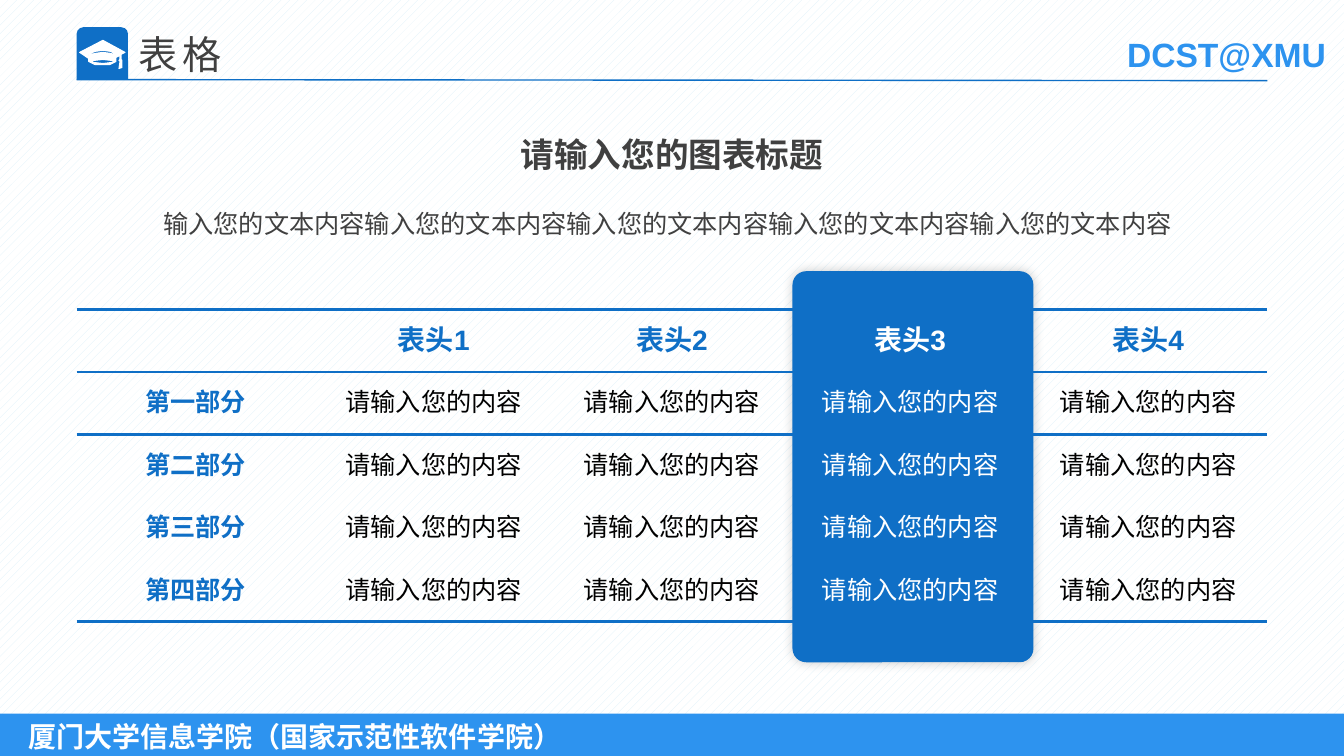
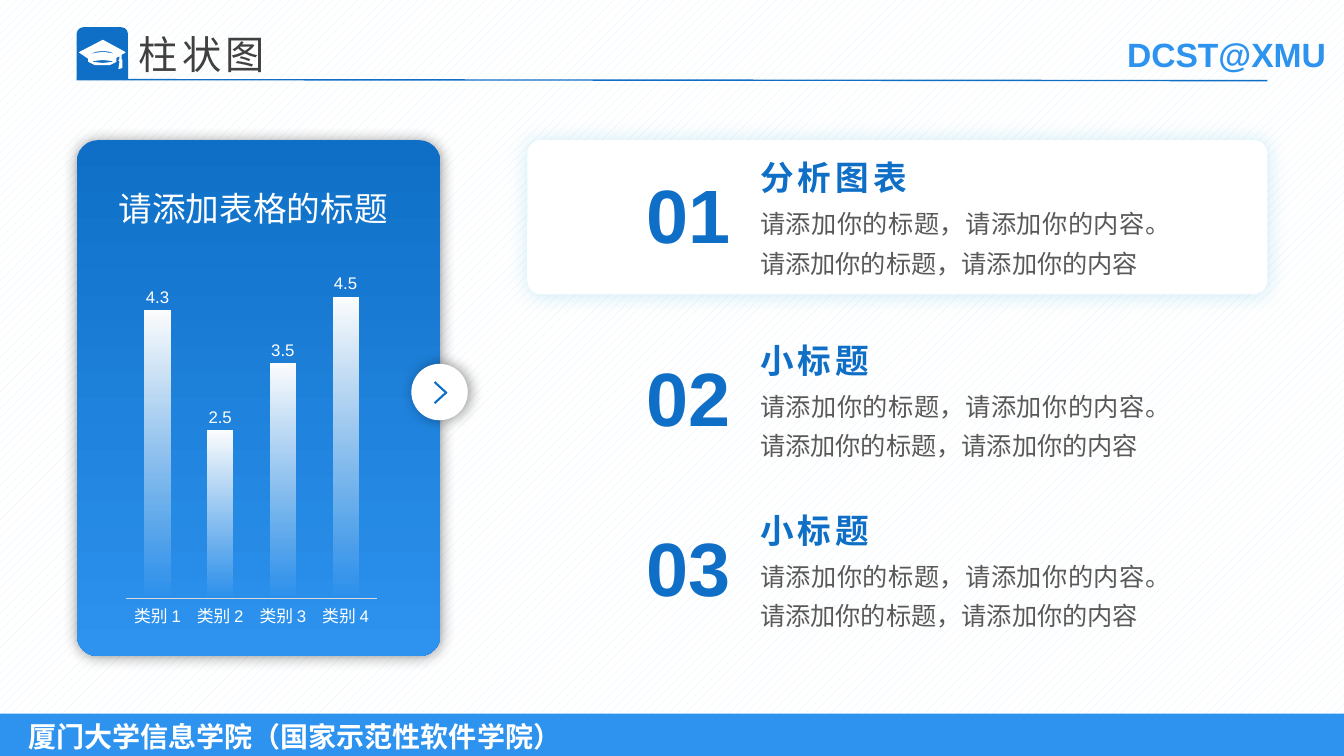
from dataclasses import dataclass
from typing import Optional

import lxml.etree
import pptx
import pptx.chart.data
import pptx.dml.color
import pptx.dml.fill
import pptx.enum.chart
import pptx.enum.dml
import pptx.enum.shapes
import pptx.enum.text
import pptx.oxml
import pptx.oxml.ns
import pptx.shapes.base
import pptx.slide
import pptx.table
import pptx.text.text
import pptx.util

Inches = pptx.util.Inches
Pt = pptx.util.Pt
RGBColor = pptx.dml.color.RGBColor
Shape = pptx.enum.shapes.MSO_SHAPE
Align = pptx.enum.text.PP_ALIGN
Anchor = pptx.enum.text.MSO_ANCHOR
qualified = pptx.oxml.ns.qn

# Shared look
FONT = "Arial"
BLUE = RGBColor(0x0F, 0x6F, 0xC6)
LIGHT_BLUE = RGBColor(0x2D, 0x93, 0xEF)
CYAN = RGBColor(0x00, 0x9D, 0xD9)
PALE_BLUE = RGBColor(0xDB, 0xEF, 0xF9)
WHITE = RGBColor(0xFF, 0xFF, 0xFF)
BLACK = RGBColor(0x00, 0x00, 0x00)
DARK_GRAY = RGBColor(0x40, 0x40, 0x40)
GRAY = RGBColor(0x59, 0x59, 0x59)
AXIS_GRAY = RGBColor(0xD9, 0xD9, 0xD9)
SLIDE_WIDTH, SLIDE_HEIGHT = 13.33, 7.5
LEFT, CONTENT_WIDTH = 0.76, 11.81
PLAIN_TABLE_STYLE = "{2D5ABB26-0587-4C30-8999-92F81FD0307C}"

# Graduation cap outlines, in hundredths of an inch
CAP_OUTLINES = (
    ((120, 59), (120, 54), (124, 52), (102, 40), (79, 52), (88, 58), (88, 61), (94, 64),
     (102, 64), (109, 64), (115, 61), (115, 57), (119, 55), (119, 59), (118, 60),
     (120, 61), (121, 60)),
    ((102, 63), (93, 62), (90, 61), (93, 60), (102, 59), (111, 60), (114, 61), (111, 62)),
    ((115, 55), (110, 53), (102, 52), (94, 53), (88, 55), (88, 54), (94, 51), (102, 50),
     (110, 51), (115, 54)),
    ((119, 61), (118, 68), (121, 67), (121, 61)),
)


@dataclass(frozen=True)
class Box:
    left: float
    top: float
    width: float
    height: float

    def lengths(self) -> tuple:
        return tuple(Inches(n) for n in (self.left, self.top, self.width, self.height))


@dataclass(frozen=True)
class TextStyle:
    size: int
    color: RGBColor
    bold: bool = False
    align: Align = Align.LEFT
    line_spacing: float = 1.0
    tracking: int = 0


@dataclass(frozen=True)
class Shadow:
    color: RGBColor
    opacity: int
    blur: int
    distance: int = 0


@dataclass(frozen=True)
class Item:
    top: float
    number: str
    heading: str


TITLE = TextStyle(28, DARK_GRAY, tracking=3)
FOOTER = TextStyle(20, WHITE, bold=True)
BRAND = TextStyle(24, LIGHT_BLUE, bold=True)
NUMBER = TextStyle(54, BLUE, bold=True)
ITEM_HEADING = TextStyle(24, BLUE, bold=True, tracking=3)
ITEM_BODY = TextStyle(18, GRAY, align=Align.JUSTIFY, line_spacing=1.3)

ITEMS = (Item(1.51, "01", "分析图表"), Item(3.32, "02", "小标题"), Item(5.01, "03", "小标题"))
ITEM_TEXT = "请添加你的标题，请添加你的内容。请添加你的标题，请添加你的内容"


# Drawing helpers
def write(frame: pptx.text.text.TextFrame, text: str, style: TextStyle) -> pptx.text.text._Run:
    paragraph = frame.paragraphs[0]
    paragraph.alignment = style.align
    paragraph.line_spacing = style.line_spacing
    run = paragraph.add_run()
    run.text = text
    run.font.size = Pt(style.size)
    run.font.bold = style.bold
    run.font.color.rgb = style.color
    run.font.name = FONT
    properties = run._r.get_or_add_rPr()
    lxml.etree.SubElement(properties, qualified("a:ea")).set("typeface", FONT)
    if style.tracking:
        properties.set("spc", str(style.tracking * 100))
    return run


def add_text(slide: pptx.slide.Slide, box: Box, text: str, style: TextStyle,
             wrap: bool = True) -> pptx.text.text._Run:
    frame = slide.shapes.add_textbox(*box.lengths()).text_frame
    frame.word_wrap = wrap
    return write(frame, text, style)


def add_block(slide: pptx.slide.Slide, kind: Shape, box: Box, color: Optional[RGBColor],
              corner: Optional[float] = None,
              shadow: Optional[Shadow] = None) -> pptx.shapes.base.BaseShape:
    shape = slide.shapes.add_shape(kind, *box.lengths())
    shape.shadow.inherit = False
    shape.line.fill.background()
    if color is not None:
        shape.fill.solid()
        shape.fill.fore_color.rgb = color
    if corner is not None:
        shape.adjustments[0] = corner
    if shadow is not None:
        effects = shape._element.spPr.find(qualified("a:effectLst"))
        outer = lxml.etree.SubElement(
            effects, qualified("a:outerShdw"), blurRad=str(Pt(shadow.blur)),
            dist=str(Pt(shadow.distance)), dir="0", algn="ctr", rotWithShape="0")
        tint = lxml.etree.SubElement(outer, qualified("a:srgbClr"), val=str(shadow.color))
        lxml.etree.SubElement(tint, qualified("a:alpha"), val=str(shadow.opacity * 1000))
    return shape


def set_gradient(fill: pptx.dml.fill.FillFormat, start: RGBColor, end: RGBColor) -> None:
    fill.gradient()
    fill.gradient_angle = 270
    for stop, color, position in zip(fill.gradient_stops, (start, end), (0, 1)):
        stop.color.rgb = color
        stop.position = position


def add_line(slide: pptx.slide.Slide, start: tuple[float, float], end: tuple[float, float],
             width: float) -> None:
    line = slide.shapes.add_connector(
        pptx.enum.shapes.MSO_CONNECTOR.STRAIGHT, *(Inches(n) for n in start + end))
    line.line.color.rgb = BLUE
    line.line.width = Pt(width)
    lxml.etree.SubElement(line._element.spPr, qualified("a:effectLst"))


def add_cap(slide: pptx.slide.Slide) -> None:
    first, *others = CAP_OUTLINES
    builder = slide.shapes.build_freeform(*first[0], scale=Inches(0.01))
    builder.add_line_segments(first[1:], close=True)
    for outline in others:
        builder.move_to(*outline[0])
        builder.add_line_segments(outline[1:], close=True)
    cap = builder.convert_to_shape()
    cap.shadow.inherit = False
    cap.fill.solid()
    cap.fill.fore_color.rgb = WHITE
    cap.line.color.rgb = WHITE
    cap.line.width = Pt(0.75)


def add_base_slide(presentation: pptx.presentation.Presentation,
                   title: str) -> pptx.slide.Slide:
    slide = presentation.slides.add_slide(presentation.slide_layouts[6])
    # Patterned backdrop
    backdrop = add_block(slide, Shape.RECTANGLE, Box(0, 0, SLIDE_WIDTH, SLIDE_HEIGHT), None)
    backdrop.fill.patterned()
    backdrop.fill.pattern = pptx.enum.dml.MSO_PATTERN.PERCENT_20
    backdrop.fill.fore_color.rgb = PALE_BLUE
    backdrop.fill.back_color.rgb = WHITE
    # Footer band
    band = add_block(slide, Shape.RECTANGLE, Box(0, 7.08, SLIDE_WIDTH, 0.44), LIGHT_BLUE)
    band.text_frame.margin_left = Inches(0.28)
    band.text_frame.vertical_anchor = Anchor.MIDDLE
    write(band.text_frame, "厦门大学信息学院（国家示范性软件学院）", FOOTER)
    # Header
    brand = add_text(slide, Box(11.08, 0.29, 2.2, 0.5), "DCST@XMU", BRAND, wrap=False)
    set_gradient(brand.font.fill, LIGHT_BLUE, BLUE)
    add_block(slide, Shape.ROUND_2_SAME_RECTANGLE, Box(LEFT, 0.27, 0.51, 0.52), BLUE, 0.13)
    add_cap(slide)
    add_line(slide, (LEFT, 0.79), (LEFT + CONTENT_WIDTH, 0.8), 1)
    add_text(slide, Box(1.28, 0.25, 7.3, 1), title, TITLE)
    return slide


# Table slide
def add_border(cell: pptx.table._Cell, side: str) -> None:
    border = pptx.oxml.parse_xml(
        f'<a:{side} {pptx.oxml.ns.nsdecls("a")} w="{Pt(2.25)}"><a:solidFill>'
        f'<a:srgbClr val="{BLUE}"/></a:solidFill></a:{side}>')
    properties = cell._tc.get_or_add_tcPr()
    position = 1 if properties.find(qualified("a:lnT")) is not None else 0
    properties.insert(position, border)


def add_content_table(slide: pptx.slide.Slide) -> None:
    headers = ["", *(f"表头{number}" for number in range(1, 5))]
    rows = [headers] + [[f"第{digit}部分"] + ["请输入您的内容"] * 4 for digit in "一二三四"]
    table = slide.shapes.add_table(
        len(rows), len(headers), *Box(LEFT, 3.07, CONTENT_WIDTH, 3.1).lengths()).table
    table.first_row = table.horz_banding = False
    table._tbl.tblPr.find(qualified("a:tableStyleId")).text = PLAIN_TABLE_STYLE
    for row_index, row in enumerate(rows):
        for column_index, text in enumerate(row):
            cell = table.cell(row_index, column_index)
            cell.fill.background()
            cell.vertical_anchor = Anchor.MIDDLE
            is_heading = row_index == 0 or column_index == 0
            color = WHITE if column_index == 3 else BLUE if is_heading else BLACK
            if text:
                write(cell.text_frame, text, TextStyle(
                    20 if row_index == 0 else 18, color, is_heading, Align.CENTER))
            if row_index in (0, 1):
                add_border(cell, "lnT")
            if row_index in (0, len(rows) - 1):
                add_border(cell, "lnB")


def build_table_slide(presentation: pptx.presentation.Presentation) -> None:
    slide = add_base_slide(presentation, "表格")
    add_block(slide, Shape.ROUNDED_RECTANGLE, Box(7.86, 2.69, 2.39, 3.88), BLUE, 0.057,
              Shadow(BLACK, 20, 8))
    add_content_table(slide)
    add_text(slide, Box(4.95, 1.28, 3.43, 0.5), "请输入您的图表标题",
             TextStyle(24, DARK_GRAY, True, Align.CENTER))
    add_text(slide, Box(0.98, 1.93, 11.28, 0.46), "输入您的文本内容" * 5,
             TextStyle(18, DARK_GRAY, align=Align.CENTER, line_spacing=1.3))


# Chart slide
def add_column_chart(slide: pptx.slide.Slide) -> None:
    data = pptx.chart.data.CategoryChartData()
    data.categories = [f"类别 {number}" for number in range(1, 5)]
    data.add_series("Series 1", (4.3, 2.5, 3.5, 4.5))
    chart = slide.shapes.add_chart(
        pptx.enum.chart.XL_CHART_TYPE.COLUMN_CLUSTERED,
        *Box(1.2, 2.54, 2.59, 3.76).lengths(), data).chart
    chart.has_legend = chart.has_title = False
    chart.font.name = FONT
    chart.font.size = Pt(12)
    chart.font.color.rgb = WHITE
    # Axes
    chart.value_axis.visible = False
    chart.value_axis.has_major_gridlines = False
    chart.value_axis.minimum_scale, chart.value_axis.maximum_scale = 0, 5
    chart.category_axis.major_tick_mark = pptx.enum.chart.XL_TICK_MARK.NONE
    chart.category_axis.format.line.color.rgb = AXIS_GRAY
    chart.category_axis.format.line.width = Pt(0.75)
    # Columns fading to transparent
    plot = chart.plots[0]
    plot.vary_by_categories = False
    plot.gap_width, plot.overlap = 150, -25
    series = plot.series[0]
    set_gradient(series.format.fill, WHITE, WHITE)
    last_stop = series._element.findall(".//" + qualified("a:gs"))[-1]
    lxml.etree.SubElement(last_stop[0], qualified("a:alpha"), val="0")
    labels = series.data_labels
    labels.show_value = True
    labels.position = pptx.enum.chart.XL_LABEL_POSITION.OUTSIDE_END
    labels.font.name = FONT
    labels.font.size = Pt(12)
    labels.font.color.rgb = WHITE


def add_item(slide: pptx.slide.Slide, item: Item) -> None:
    add_text(slide, Box(6.31, item.top + 0.11, 1.04, 1.01), item.number, NUMBER, wrap=False)
    add_text(slide, Box(7.44, item.top, 3.84, 0.5), item.heading, ITEM_HEADING)
    add_text(slide, Box(7.44, item.top + 0.42, 4.02, 0.85), ITEM_TEXT, ITEM_BODY)


def build_chart_slide(presentation: pptx.presentation.Presentation) -> None:
    slide = add_base_slide(presentation, "柱状图")
    add_block(slide, Shape.ROUNDED_RECTANGLE, Box(5.23, 1.39, 7.34, 1.53), WHITE, 0.09,
              Shadow(CYAN, 20, 15))
    # Chart panel
    panel = add_block(slide, Shape.ROUNDED_RECTANGLE, Box(LEFT, 1.39, 3.61, 5.12), None, 0.059,
                      Shadow(BLACK, 40, 10))
    set_gradient(panel.fill, BLUE, LIGHT_BLUE)
    add_text(slide, Box(1.08, 1.82, 3.06, 0.5), "请添加表格的标题",
             TextStyle(24, WHITE, align=Align.JUSTIFY))
    # Round arrow button
    add_block(slide, Shape.OVAL, Box(4.08, 3.61, 0.56, 0.56), WHITE,
              shadow=Shadow(BLACK, 40, 10, 2))
    for start_y, end_y in ((3.79, 3.9), (4, 3.89)):
        add_line(slide, (4.31, start_y), (4.43, end_y), 1.5)
    add_column_chart(slide)
    for item in ITEMS:
        add_item(slide, item)


def main() -> None:
    presentation = pptx.Presentation()
    presentation.slide_width = Inches(SLIDE_WIDTH)
    presentation.slide_height = Inches(SLIDE_HEIGHT)
    build_table_slide(presentation)
    build_chart_slide(presentation)
    presentation.save("out.pptx")


if __name__ == "__main__":
    main()
